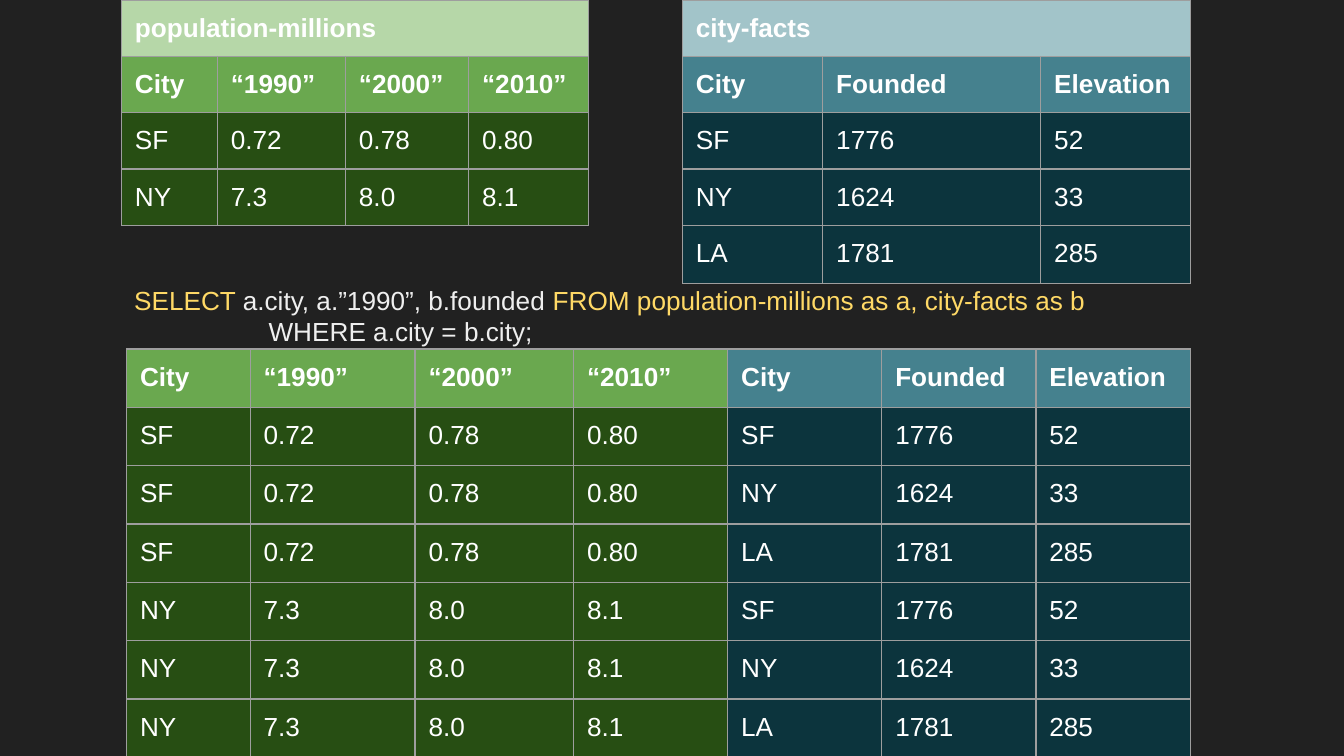
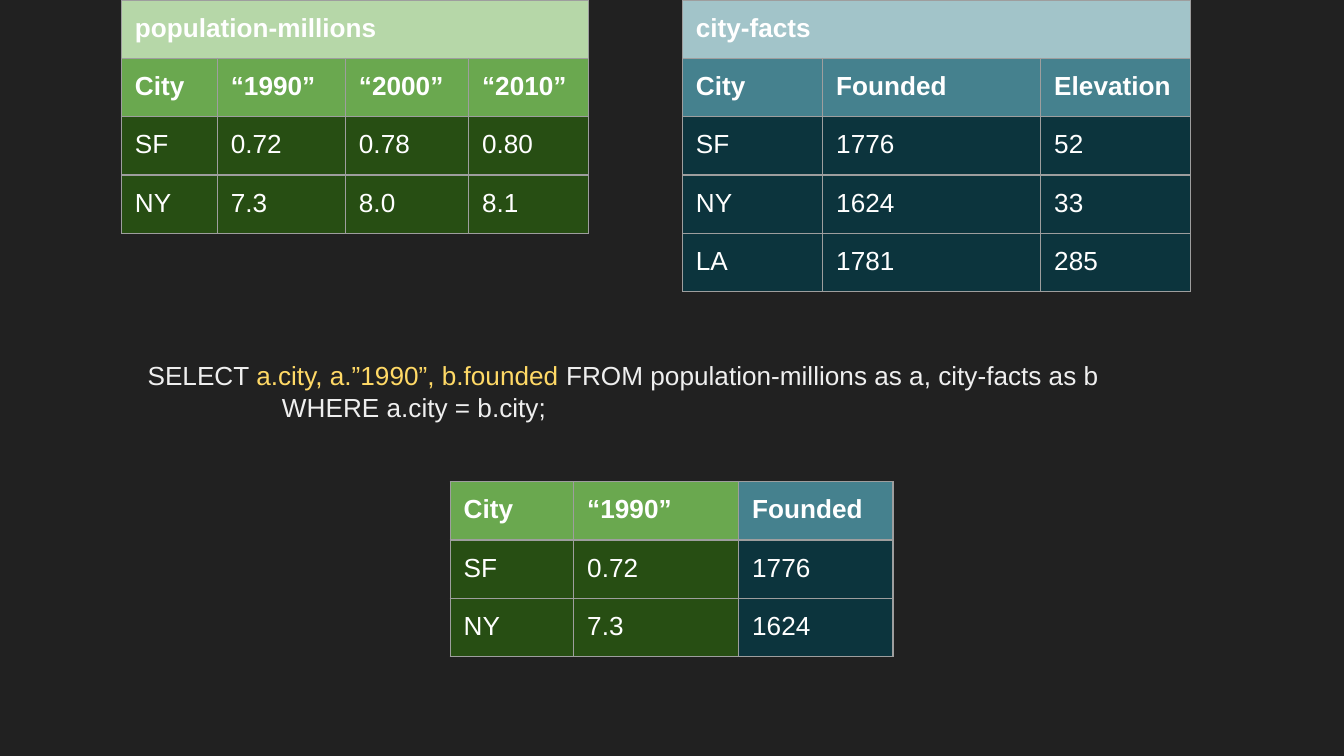
from dataclasses import dataclass
from itertools import product

from lxml.etree import SubElement as Sub
from pptx import Presentation
from pptx.dml.color import RGBColor as Rgb
from pptx.oxml.ns import qn
from pptx.util import Pt


@dataclass(frozen=True)
class Theme:
    back: str = "212121"
    white: str = "FFFFFF"
    plain: str = "EFEFEF"
    mark: str = "FFD966"
    rule: str = "9E9E9E"
    font: str = "Arial"
    size: float = 14
    line: float = 0.75
    pad: float = 7.2


@dataclass(frozen=True)
class Hue:
    title: str
    head: str
    body: str


LOOK = Theme()
GREEN = Hue("B6D7A8", "6AA84F", "274E13")
TEAL = Hue("A2C4C9", "45818E", "0C343D")

PEOPLE = {
    "title": "population-millions",
    "hue": GREEN,
    "left": 65.1,
    "cols": [51.4, 68.6, 66, 64.3],
    "head": ["City", "“1990”", "“2000”", "“2010”"],
    "rows": [["SF", "0.72", "0.78", "0.80"], ["NY", "7.3", "8.0", "8.1"]],
}
FACTS = {
    "title": "city-facts",
    "hue": TEAL,
    "left": 365.6,
    "cols": [75.2, 116.8, 80],
    "head": ["City", "Founded", "Elevation"],
    "rows": [["SF", "1776", "52"], ["NY", "1624", "33"], ["LA", "1781", "285"]],
}
QUERY = [
    ("SELECT", "from"),
    (" ", "from"),
    ("a.city, a.”1990”, b.founded", "pick"),
    (" ", "from"),
    ("FROM population-millions as a, city-facts as b", "from"),
]
WHERE = "WHERE a.city = b.city;"

JOIN_COLS = [66.2, 88.4, 84.9] + [82.6] * 4
JOIN_HUES = [GREEN] * 4 + [TEAL] * 3
JOIN_HEAD = PEOPLE["head"] + FACTS["head"]
PAIRS = [a + b for a, b in product(PEOPLE["rows"], FACTS["rows"])]
PICK = [0, 1, 5]
LOW, TALL = 30, 31.2


def style(font, color, bold=False):
    font.name = LOOK.font
    font.size = Pt(LOOK.size)
    font.bold = bold
    font.color.rgb = Rgb.from_string(color)


def pad(box):
    box.margin_left = box.margin_right = Pt(LOOK.pad)
    box.margin_top = box.margin_bottom = Pt(LOOK.pad)


def edge(cell):
    props = cell._tc.get_or_add_tcPr()
    for side in ("lnL", "lnR", "lnT", "lnB"):
        line = Sub(props, qn(f"a:{side}"), w=str(Pt(LOOK.line)))
        fill = Sub(line, qn("a:solidFill"))
        Sub(fill, qn("a:srgbClr"), val=LOOK.rule)


def grid(slide, left, top, cols, highs, rows, fills, heads):
    frame = slide.shapes.add_table(
        len(rows), len(cols), Pt(left), Pt(top), Pt(sum(cols)), Pt(sum(highs))
    )
    table = frame.table
    table.first_row = table.horz_banding = False
    for col, wide in zip(table.columns, cols):
        col.width = Pt(wide)
    for row, high in zip(table.rows, highs):
        row.height = Pt(high)
    for r, c in product(range(len(rows)), range(len(cols))):
        cell = table.cell(r, c)
        pad(cell)
        edge(cell)
        cell.fill.solid()
        cell.fill.fore_color.rgb = Rgb.from_string(fills[r][c])
        cell.text = rows[r][c]
        style(cell.text_frame.paragraphs[0].font, LOOK.white, r < heads)
    return table


def source(slide, data):
    count, hue = len(data["cols"]), data["hue"]
    rows = [[data["title"]] + [""] * (count - 1), data["head"], *data["rows"]]
    shades = [hue.title, hue.head] + [hue.body] * len(data["rows"])
    fills = [[shade] * count for shade in shades]
    highs = [LOW] * 4 + [TALL] * (len(rows) - 4)
    table = grid(slide, data["left"], 0, data["cols"], highs, rows, fills, 2)
    table.cell(0, 0).merge(table.cell(0, count - 1))


def result(slide, left, top, keep, pairs):
    rows = [[row[i] for i in keep] for row in [JOIN_HEAD, *pairs]]
    hues = [JOIN_HUES[i] for i in keep]
    fills = [[h.head for h in hues]] + [[h.body for h in hues]] * len(pairs)
    highs = [LOW] + [TALL] * len(pairs)
    grid(slide, left, top, [JOIN_COLS[i] for i in keep], highs, rows, fills, 1)


def query(slide, left, top, lit):
    frame = slide.shapes.add_textbox(Pt(left), Pt(top), Pt(576), Pt(42.5)).text_frame
    frame.word_wrap = True
    pad(frame)
    first = frame.paragraphs[0]
    for text, part in QUERY:
        run = first.add_run()
        run.text = text
        style(run.font, LOOK.mark if part == lit else LOOK.plain)
    last = frame.add_paragraph()
    last.text = WHERE
    last._p.get_or_add_pPr().set("marL", str(Pt(72)))
    style(last.font, LOOK.plain)


def page(deck):
    slide = deck.slides.add_slide(deck.slide_layouts[6])
    slide.background.fill.solid()
    slide.background.fill.fore_color.rgb = Rgb.from_string(LOOK.back)
    source(slide, PEOPLE)
    source(slide, FACTS)
    return slide


def main():
    deck = Presentation()
    deck.slide_width, deck.slide_height = Pt(720), Pt(405)

    cross = page(deck)
    query(cross, 64.8, 145, "from")
    result(cross, 67.8, 187, range(len(JOIN_HEAD)), PAIRS)

    final = page(deck)
    result(final, 241.2, 258, PICK, [row for row in PAIRS if row[0] == row[4]])
    query(final, 72, 185.5, "pick")

    deck.save("out.pptx")


if __name__ == "__main__":
    main()
